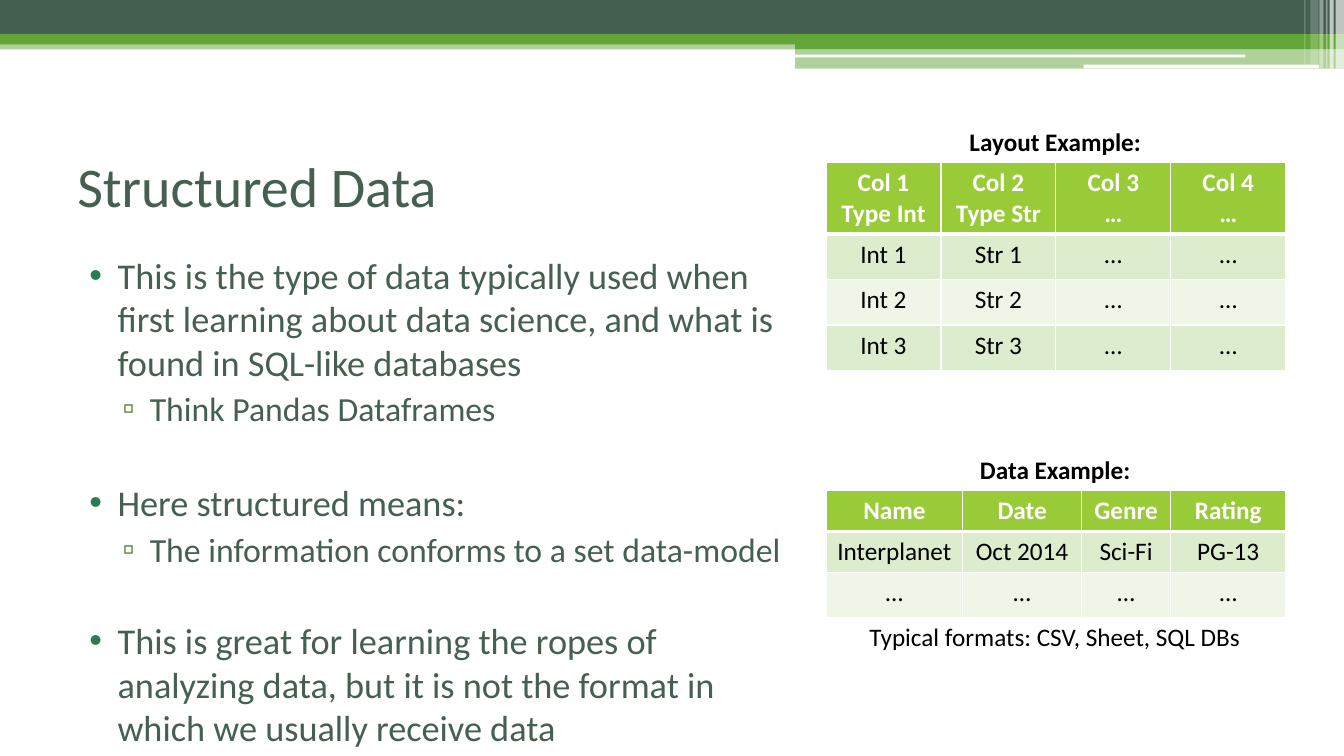
from lxml import etree
from pptx import Presentation
from pptx.dml.color import RGBColor
from pptx.enum.shapes import MSO_SHAPE
from pptx.enum.text import MSO_ANCHOR, MSO_AUTO_SIZE, PP_ALIGN
from pptx.oxml.ns import qn
from pptx.util import Pt

RECT, ROUND = MSO_SHAPE.RECTANGLE, MSO_SHAPE.ROUNDED_RECTANGLE
LEFT, CENTER = PP_ALIGN.LEFT, PP_ALIGN.CENTER
TOP, MIDDLE = MSO_ANCHOR.TOP, MSO_ANCHOR.MIDDLE
NO_FIT = MSO_AUTO_SIZE.NONE

WHITE = RGBColor(0xFF, 0xFF, 0xFF)
BLACK = RGBColor(0x00, 0x00, 0x00)
SLATE = RGBColor(0x45, 0x5F, 0x51)
GREEN = RGBColor(0x63, 0xA5, 0x37)
LIME = RGBColor(0x99, 0xCB, 0x38)
BAND_DARK = RGBColor(0xDE, 0xEC, 0xCE)
BAND_LIGHT = RGBColor(0xEF, 0xF6, 0xE8)
BULLET = RGBColor(0x29, 0x7D, 0x53)
SUB_BULLET = RGBColor(0x4A, 0x7C, 0x29)

# Per list level: left indent, hanging indent, size, bullet, bullet colour
LEVELS = [(28.8, -20.2, 25.9, "•", BULLET),
          (51.8, -19.4, 24.1, "▫", SUB_BULLET)]


class Deck:
    font = "Calibri"

    def __init__(self, width, height):
        self.prs = Presentation()
        self.prs.slide_width, self.prs.slide_height = Pt(width), Pt(height)
        self.s = self.prs.slides.add_slide(self.prs.slide_layouts[1])

    def place(self, sp, box):
        for name, value in zip(("left", "top", "width", "height"), box):
            setattr(sp, name, Pt(value))

    def add_text(self, p, text, size, color, bold=False, align=LEFT):
        p.alignment = align
        r = p.add_run()
        r.text = text
        r.font.color.rgb = color
        fmt = {"name": self.font, "size": Pt(size), "bold": bold}
        for name, value in fmt.items():
            setattr(r.font, name, value)

    def bar(self, box, color, alpha=100, kind=RECT):
        sp = self.s.shapes.add_shape(kind, *map(Pt, box))
        sp.shadow.inherit = False
        sp.line.fill.background()
        sp.fill.solid()
        sp.fill.fore_color.rgb = color
        if alpha < 100:
            clr = sp._element.spPr.find(".//" + qn("a:srgbClr"))
            etree.SubElement(clr, qn("a:alpha"), val=str(alpha * 1000))

    def frame(self, sp, box, anchor):
        self.place(sp, box)
        tf = sp.text_frame
        fmt = {"word_wrap": True, "auto_size": NO_FIT, "vertical_anchor": anchor}
        for name, value in fmt.items():
            setattr(tf, name, value)
        return tf

    def title(self, box, text):
        tf = self.frame(self.s.shapes.title, box, MIDDLE)
        self.add_text(tf.paragraphs[0], text, 40, SLATE)

    def bullets(self, box, items):
        tf = self.frame(self.s.placeholders[1], box, TOP)
        for i, (level, before, text) in enumerate(items):
            p = tf.add_paragraph() if i else tf.paragraphs[0]
            left, hang, size, char, color = LEVELS[level]
            p.level, p.space_before = level, Pt(before)
            self.add_text(p, text, size, SLATE)
            pPr = p._p.get_or_add_pPr()
            pPr.set("marL", str(Pt(left)))
            pPr.set("indent", str(Pt(hang)))
            clr = etree.SubElement(pPr, qn("a:buClr"))
            etree.SubElement(clr, qn("a:srgbClr"), val=str(color))
            etree.SubElement(pPr, qn("a:buFont"), typeface="Arial")
            etree.SubElement(pPr, qn("a:buChar"), char=char)

    def label(self, top, text, bold=False, align=CENTER):
        sp = self.s.shapes.add_textbox(0, 0, 0, 0)
        tf = self.frame(sp, (614, top, 279.5, 29), TOP)
        self.add_text(tf.paragraphs[0], text, 18, BLACK, bold, align)

    def borders(self, cell, bottom):
        tcPr = cell._tc.get_or_add_tcPr()
        for i, side in enumerate("LRTB"):
            width = bottom if side == "B" else 1
            ln = etree.Element(qn("a:ln" + side), w=str(Pt(width)))
            fill = etree.SubElement(ln, qn("a:solidFill"))
            etree.SubElement(fill, qn("a:srgbClr"), val=str(WHITE))
            tcPr.insert(i, ln)

    def table(self, left, top, widths, heights, rows):
        box = (left, top, sum(widths), sum(heights))
        tbl = self.s.shapes.add_table(len(rows), len(widths), *map(Pt, box)).table
        for col, width in zip(tbl.columns, widths):
            col.width = Pt(width)
        for i, (height, values) in enumerate(zip(heights, rows)):
            tbl.rows[i].height = Pt(height)
            head = i == 0
            for j, value in enumerate(values):
                cell = tbl.cell(i, j)
                cell.fill.solid()
                cell.fill.fore_color.rgb = (
                    LIME if head else BAND_DARK if i % 2 else BAND_LIGHT)
                self.borders(cell, 3 if head else 1)
                tf = cell.text_frame
                for k, line in enumerate(value.split("\n")):
                    p = tf.add_paragraph() if k else tf.paragraphs[0]
                    self.add_text(p, line, 18, WHITE if head else BLACK, head, CENTER)


deck = Deck(960, 540)

# Header bands
deck.bar((0, 28.8, 960, 6.5), GREEN, 50)
deck.bar((0, 0, 960, 24.5), SLATE)
deck.bar((0, 24.5, 960, 7.2), GREEN)
deck.bar((568, 28, 392, 7), GREEN)
deck.bar((568, 34.6, 392, 14.4), GREEN, 50)
deck.bar((567.5, 39, 322, 2), WHITE, kind=ROUND)
deck.bar((774, 46.2, 168, 2.6), WHITE, kind=ROUND)

# Translucent stripes at the right end
for left, width, height, alpha in [
        (954, 6, 49, 65), (949.7, 2.9, 49, 65), (947.5, 0.7, 49, 60),
        (942.5, 2.9, 49, 40), (936, 5.8, 46, 20), (931.7, 0.7, 46, 30)]:
    deck.bar((left, 0, width, height), WHITE, alpha)

# Title and list; the wide gaps separate the three topics
deck.title((48, 90, 864, 84), "Structured Data")
deck.bullets((48, 177, 521.5, 340.5), [
    (0, 3, "This is the type of data typically used when first learning about "
           "data science, and what is found in SQL-like databases"),
    (1, 3, "Think Pandas Dataframes"),
    (0, 37.5, "Here structured means:"),
    (1, 3, "The information conforms to a set data-model"),
    (0, 35.5, "This is great for learning the ropes of analyzing data, but it is "
              "not the format in which we usually receive data")])

# Layout example
deck.label(87, "Layout Example:", bold=True)
deck.table(590, 116, [82.1] * 4, [50] + [32.5] * 3, [
    ["Col 1\nType Int", "Col 2\nType Str", "Col 3\n…", "Col 4\n…"],
    *([f"Int {n}", f"Str {n}", "…", "…"] for n in (1, 2, 3))])

# Data example
deck.label(321, "Data Example:", bold=True)
deck.table(590, 350.5, [97.7, 84.8, 63.8, 82.1], [29, 29, 32], [
    ["Name", "Date", "Genre", "Rating"],
    ["Interplanet", "Oct 2014", "Sci-Fi", "PG-13"],
    ["…"] * 4])
deck.label(440, "Typical formats: CSV, Sheet, SQL DBs", align=LEFT)

deck.prs.save("out.pptx")
